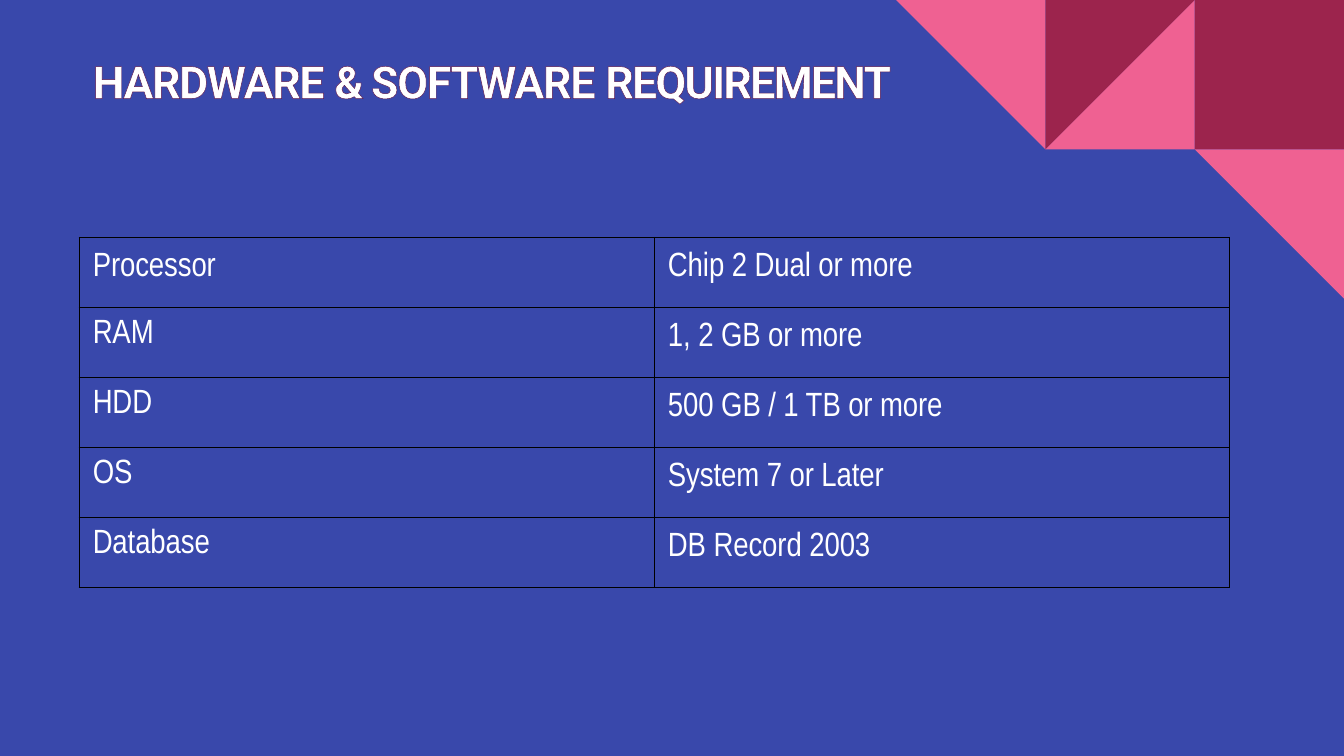
from dataclasses import dataclass

from lxml import etree
from pptx import Presentation, util as u
from pptx.dml.color import RGBColor
from pptx.enum import text
from pptx.oxml import ns


@dataclass(frozen=True)
class Theme:
    blue: str = "3948AB"
    wine: str = "9C244D"
    pink: str = "EF6192"
    white: str = "FFFFFF"
    black: str = "000000"
    edge: str = "5E1A50"
    head: str = "Roboto"
    body: str = "Arial Narrow"
    head_size: int = 24
    body_size: int = 18


class Deck:
    """Lengths are percent of the slide's width; polygons use a nine-column grid."""
    cols = 9

    def __init__(self, theme, wide, high):
        self.theme = theme
        self.file = Presentation()
        self.file.slide_width, self.file.slide_height = u.Inches(wide), u.Inches(high)
        self.slide = self.file.slides.add_slide(self.file.slide_layouts[5])
        self.rows = self.cols * high / wide

    def pct(self, *vals):
        return [round(self.file.slide_width * v / 100) for v in vals]

    def line(self, parent, color, width):
        """Fill a line element (text outline or cell border)."""
        parent.set("w", str(u.Pt(width)))
        fill = etree.SubElement(parent, ns.qn("a:solidFill"))
        etree.SubElement(fill, ns.qn("a:srgbClr"), val=color)

    def font(self, run, name, size, gap, bold=False):
        run.font.name, run.font.size, run.font.bold = name, u.Pt(size), bold
        run.font.color.rgb = RGBColor.from_string(self.theme.white)
        run.font._element.set("spc", str(round(gap * 100)))

    def shape(self, home, color, *loops):
        """Draw one freeform with a closed contour for each loop of grid points."""
        cell = self.file.slide_width / self.cols
        loops = [[(x * cell, y * cell) for x, y in loop] for loop in loops]
        pen = home.build_freeform(*loops[0][0])
        pen.add_line_segments(loops[0][1:])
        for loop in loops[1:]:
            pen.move_to(*loop[0])
            pen.add_line_segments(loop[1:])
        item = pen.convert_to_shape()
        item.shadow.inherit = False
        item.fill.solid()
        item.fill.fore_color.rgb = RGBColor.from_string(color)
        item.line.fill.background()

    def title(self, box, parts):
        item = self.slide.shapes.title
        item.left, item.top, item.width, item.height = self.pct(*box)
        frame = item.text_frame
        frame.margin_left = frame.margin_right = frame.margin_bottom = 0
        frame.margin_top = u.Inches(0.01)
        frame.vertical_anchor = text.MSO_ANCHOR.BOTTOM
        frame.auto_size = text.MSO_AUTO_SIZE.SHAPE_TO_FIT_TEXT
        para = frame.paragraphs[0]
        para.alignment, para.space_before = text.PP_ALIGN.LEFT, u.Pt(1)
        para._p.get_or_add_pPr().set("marL", str(u.Inches(0.01)))
        for words, gap in parts:
            run = para.add_run()
            run.text = words
            self.font(run, self.theme.head, self.theme.head_size, gap, True)
            edge = etree.Element(ns.qn("a:ln"))
            self.line(edge, self.theme.edge, 0.04)
            run.font._element.insert(0, edge)
        # Bring the title in front of the backdrop
        self.slide.shapes._spTree.append(item._element)

    def table(self, box, data):
        frame = self.slide.shapes.add_table(len(data), len(data[0]), *self.pct(*box))
        grid = frame.table
        grid.first_row = grid.horz_banding = False
        for r, row in enumerate(data):
            for c, words in enumerate(row):
                # Labels below the first row sit a little higher
                self.cell(grid.cell(r, c), words, 0.09 if r and not c else 0.11)

    def cell(self, cell, words, top):
        cell.margin_left, cell.margin_top = u.Inches(0.1), u.Inches(top)
        cell.margin_right = cell.margin_bottom = 0
        para = cell.text_frame.paragraphs[0]
        para.text = words
        self.font(para.runs[0], self.theme.body, self.theme.body_size, -0.05)
        props = cell._tc.get_or_add_tcPr()
        for side in ("lnL", "lnR", "lnT", "lnB"):
            self.line(etree.SubElement(props, ns.qn("a:" + side)), self.theme.black, 0.75)
        cell.fill.solid()
        cell.fill.fore_color.rgb = RGBColor.from_string(self.theme.blue)


def main():
    theme = Theme()
    deck = Deck(theme, 10, 10 * 9 / 16)

    # Backdrop
    n, m = deck.cols, deck.rows
    deck.shape(deck.slide.shapes, theme.blue, [(n, 0), (0, 0), (0, m), (n, m), (n, 0)])

    # Corner pattern
    corner = deck.slide.shapes.add_group_shape().shapes
    deck.shape(corner, theme.wine, [(9, 0), (8, 0), (8, 1), (9, 1), (9, 0)])
    deck.shape(corner, theme.pink, [(8, 0), (7, 1), (8, 1), (8, 0)])
    deck.shape(corner, theme.wine, [(8, 0), (7, 0), (7, 1), (8, 0)])
    deck.shape(corner, theme.pink, [(7, 0), (6, 0), (7, 1), (7, 0)],
               [(9, 1), (8, 1), (9, 2), (9, 1)])

    # Title and requirements
    deck.title((6.8, 3.8, 65.2, 4.2), [
        ("HARDWARE ", -0.8), ("& ", -2), ("SOFTWARE ", -0.7), ("REQUIREMENT", -1)])
    deck.table((5.9, 17.67, 85.6, 26.05), [
        ("Processor", "Chip 2 Dual or more"),
        ("RAM", "1, 2 GB or more"),
        ("HDD", "500 GB / 1 TB or more"),
        ("OS", "System 7 or Later"),
        ("Database", "DB Record 2003")])

    deck.file.save("out.pptx")


if __name__ == "__main__":
    main()
